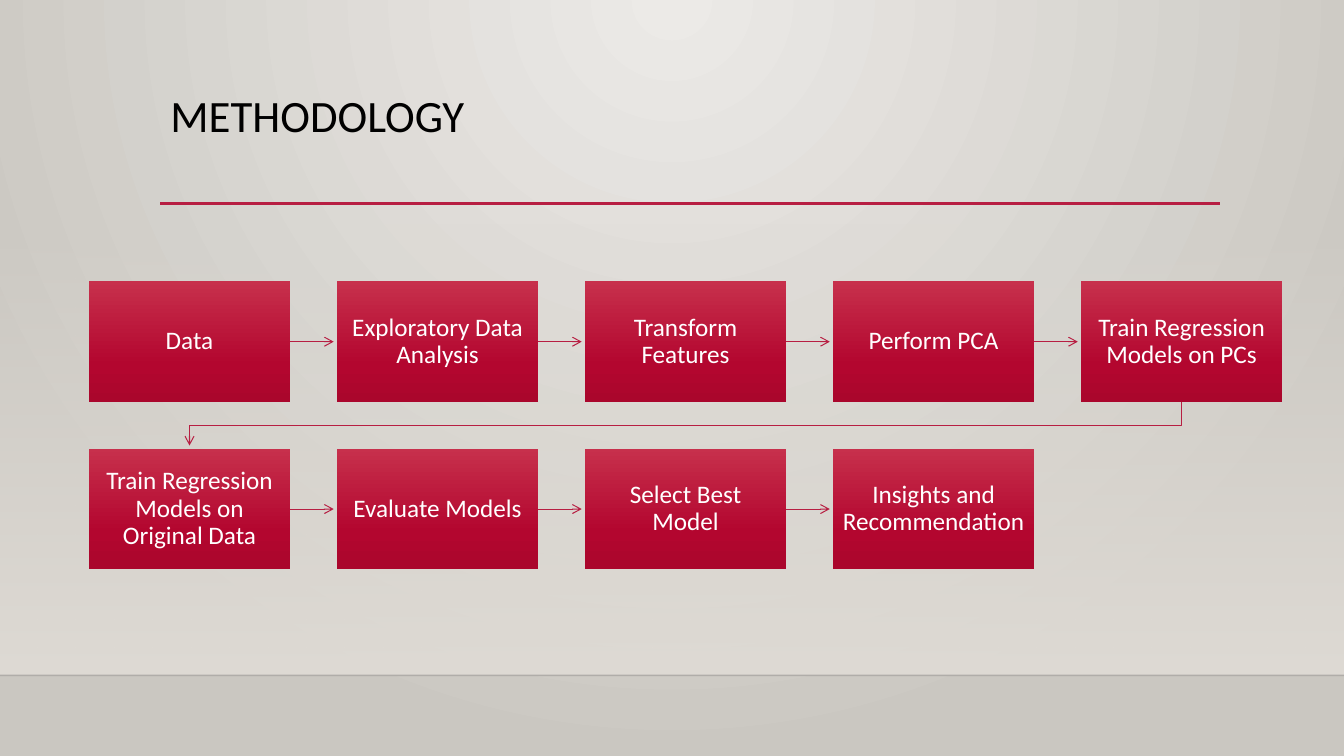
from dataclasses import dataclass

from lxml.etree import SubElement
from pptx import Presentation
from pptx.dml.color import RGBColor
from pptx.enum.shapes import MSO_CONNECTOR as Link, MSO_SHAPE as Shape
from pptx.enum.text import MSO_ANCHOR as Anchor, MSO_AUTO_SIZE as Fit, PP_ALIGN as Align
from pptx.oxml.ns import qn
from pptx.util import Inches, Pt

FONT = "Calibri"
RED = "B71E42"
COLS = 5
LEFT, TOP = 0.88, 2.79
WIDE, HIGH = 2.0, 1.2
STEP_X, STEP_Y = 2.46, 1.66
GAP = 0.03  # space between an arrow tip and the next box


@dataclass
class Stop:
    pos: int
    color: str
    alpha: int = 100


@dataclass
class Step:
    text: str
    col: int
    row: int

    @property
    def x(self) -> float:
        return LEFT + self.col * STEP_X

    @property
    def y(self) -> float:
        return TOP + self.row * STEP_Y


LABELS = [
    "Data", "Exploratory Data Analysis", "Transform Features", "Perform PCA",
    "Train Regression Models on PCs", "Train Regression Models on Original Data",
    "Evaluate Models", "Select Best Model", "Insights and Recommendation",
]
STEPS = [Step(text, i % COLS, i // COLS) for i, text in enumerate(LABELS)]
BOX_FILL = [Stop(0, "C7304C"), Stop(69, "B3062F"), Stop(100, "AA062C")]
BAND_FILL = [Stop(0, "DFDBD5", 0), Stop(100, "DFDBD5")]
BACK_FILL = [Stop(0, "ECEAE7"), Stop(100, "CAC7C1")]


def paint(target, color: str) -> None:
    target.rgb = RGBColor.from_string(color)


def fade(node, color: str, alpha: int) -> None:
    """Add an alpha value to a color node unless it is opaque."""
    if alpha < 100:
        SubElement(node, qn("a:alpha"), val=str(alpha * 1000))


def blend(props, stops: list[Stop], round_: bool = False) -> None:
    """Swap the solid fill of a property node for a gradient."""
    old = props.find(qn("a:solidFill"))
    grad = SubElement(props, qn("a:gradFill"), rotWithShape="1")
    props.replace(old, grad)
    items = SubElement(grad, qn("a:gsLst"))
    for stop in stops:
        item = SubElement(items, qn("a:gs"), pos=str(stop.pos * 1000))
        fade(SubElement(item, qn("a:srgbClr"), val=stop.color), stop.color, stop.alpha)
    if round_:
        ring = SubElement(grad, qn("a:path"), path="circle")
        SubElement(ring, qn("a:fillToRect"), l="43000", t="0", r="43000", b="100000")
    else:
        SubElement(grad, qn("a:lin"), ang="5400000", scaled="0")


def add_rect(slide, x: float, y: float, w: float, h: float, stops: list[Stop]):
    rect = slide.shapes.add_shape(Shape.RECTANGLE, Inches(x), Inches(y), Inches(w), Inches(h))
    rect.shadow.inherit = False
    rect.line.fill.background()
    rect.fill.solid()
    blend(rect.element.spPr, stops)
    return rect


def style(line, color: str, width: float) -> None:
    paint(line.color, color)
    line.width = Pt(width)


def add_line(slide, x1: float, y1: float, x2: float, y2: float, color: str, width: float):
    line = slide.shapes.add_connector(Link.STRAIGHT, Inches(x1), Inches(y1), Inches(x2), Inches(y2))
    style(line.line, color, width)
    SubElement(line.element.spPr, qn("a:effectLst"))
    return line


def add_tip(shape) -> None:
    SubElement(shape.element.spPr.find(qn("a:ln")), qn("a:tailEnd"), type="arrow")


def add_bend(slide, points: list[tuple[float, float]]):
    spots = [(Inches(x), Inches(y)) for x, y in points]
    pen = slide.shapes.build_freeform(*spots[0])
    pen.add_line_segments(spots[1:], close=False)
    bend = pen.convert_to_shape()
    bend.shadow.inherit = False
    bend.fill.background()
    style(bend.line, RED, 0.75)
    return bend


def set_text(frame, text: str, size: int, color: str, align: Align) -> None:
    frame.text = text
    frame.word_wrap = True
    para = frame.paragraphs[0]
    para.alignment = align
    para.line_spacing = 0.9
    font = para.runs[0].font
    font.name, font.size = FONT, Pt(size)
    paint(font.color, color)


def add_step(slide, step: Step) -> None:
    box = add_rect(slide, step.x, step.y, WIDE, HIGH, BOX_FILL)
    frame = box.text_frame
    frame.margin_left = frame.margin_right = Inches(0.09)
    frame.vertical_anchor = Anchor.MIDDLE
    set_text(frame, step.text, 18, "FFFFFF", Align.CENTER)


def add_arrow(slide, start: Step, end: Step) -> None:
    if start.row == end.row:
        mid = start.y + HIGH / 2
        arrow = add_line(slide, start.x + WIDE, mid, end.x - GAP, mid, RED, 0.75)
    else:
        base = start.y + HIGH
        turn = (base + end.y) / 2
        x1, x2 = start.x + WIDE / 2, end.x + WIDE / 2
        arrow = add_bend(slide, [(x1, base), (x1, turn), (x2, turn), (x2, end.y - GAP)])
    add_tip(arrow)


def main() -> None:
    deck = Presentation()
    deck.slide_width, deck.slide_height = Inches(13.33), Inches(7.5)
    slide = deck.slides.add_slide(deck.slide_layouts[5])

    # Backdrop
    slide.background.fill.solid()
    blend(next(slide.element.iter(qn("p:bgPr"))), BACK_FILL, round_=True)
    add_rect(slide, 0, 2.21, 13.33, 4.49, BAND_FILL)
    floor = add_line(slide, 0, 6.7, 13.33, 6.7, "000001", 1)
    fade(next(floor.element.spPr.iter(qn("a:srgbClr"))), "000001", 20)
    add_line(slide, 1.59, 2.02, 12.1, 2.02, RED, 2.5)

    # Title
    title = slide.shapes.title
    title.left, title.top = Inches(1.59), Inches(0.88)
    title.width, title.height = Inches(10.5), Inches(1.15)
    frame = title.text_frame
    set_text(frame, "METHODOLOGY", 32, "000000", Align.LEFT)
    frame.auto_size = Fit.NONE
    frame.vertical_anchor = Anchor.TOP

    # Process flow
    for start, end in zip(STEPS, STEPS[1:]):
        add_arrow(slide, start, end)
    for step in STEPS:
        add_step(slide, step)

    deck.save("out.pptx")


if __name__ == "__main__":
    main()
